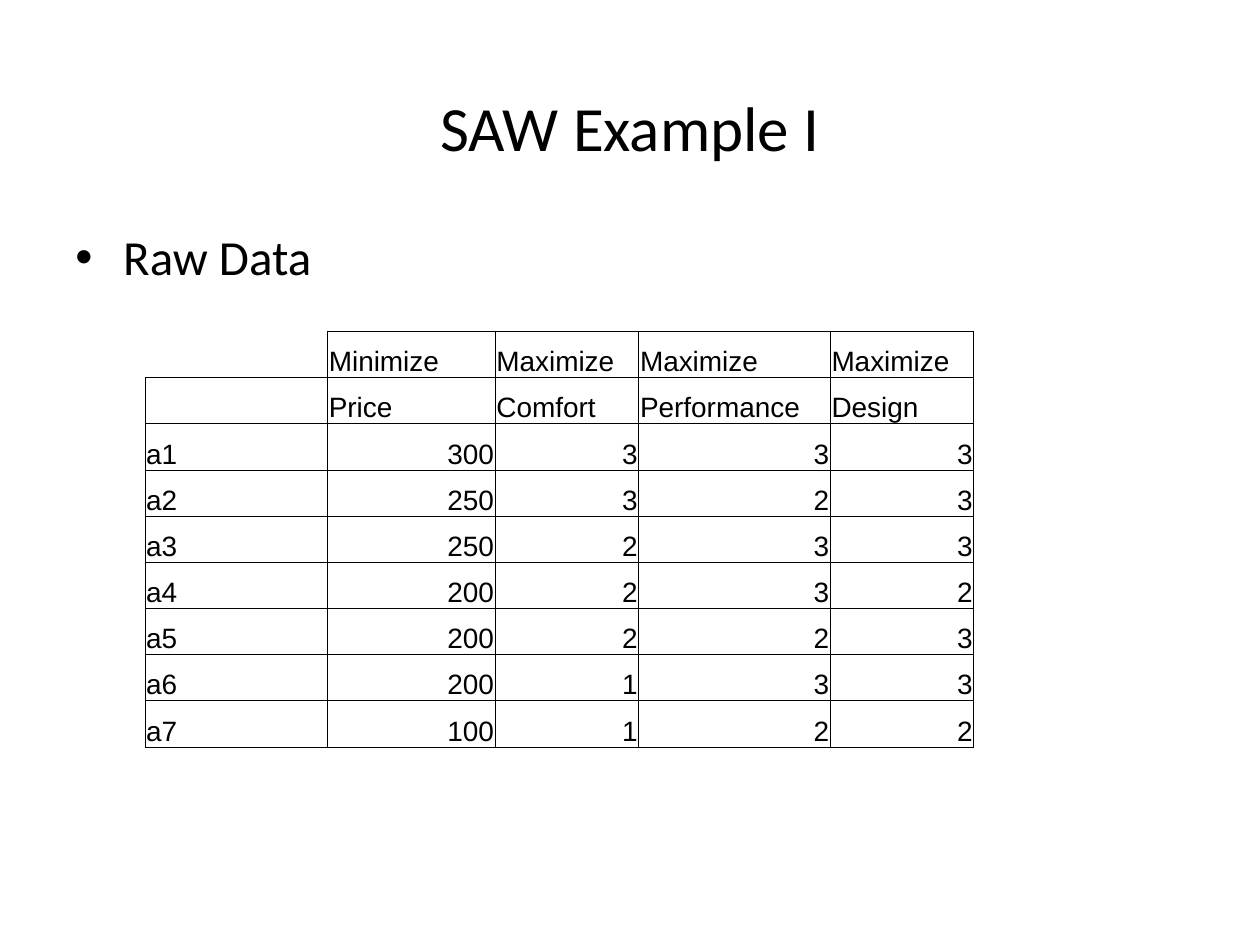
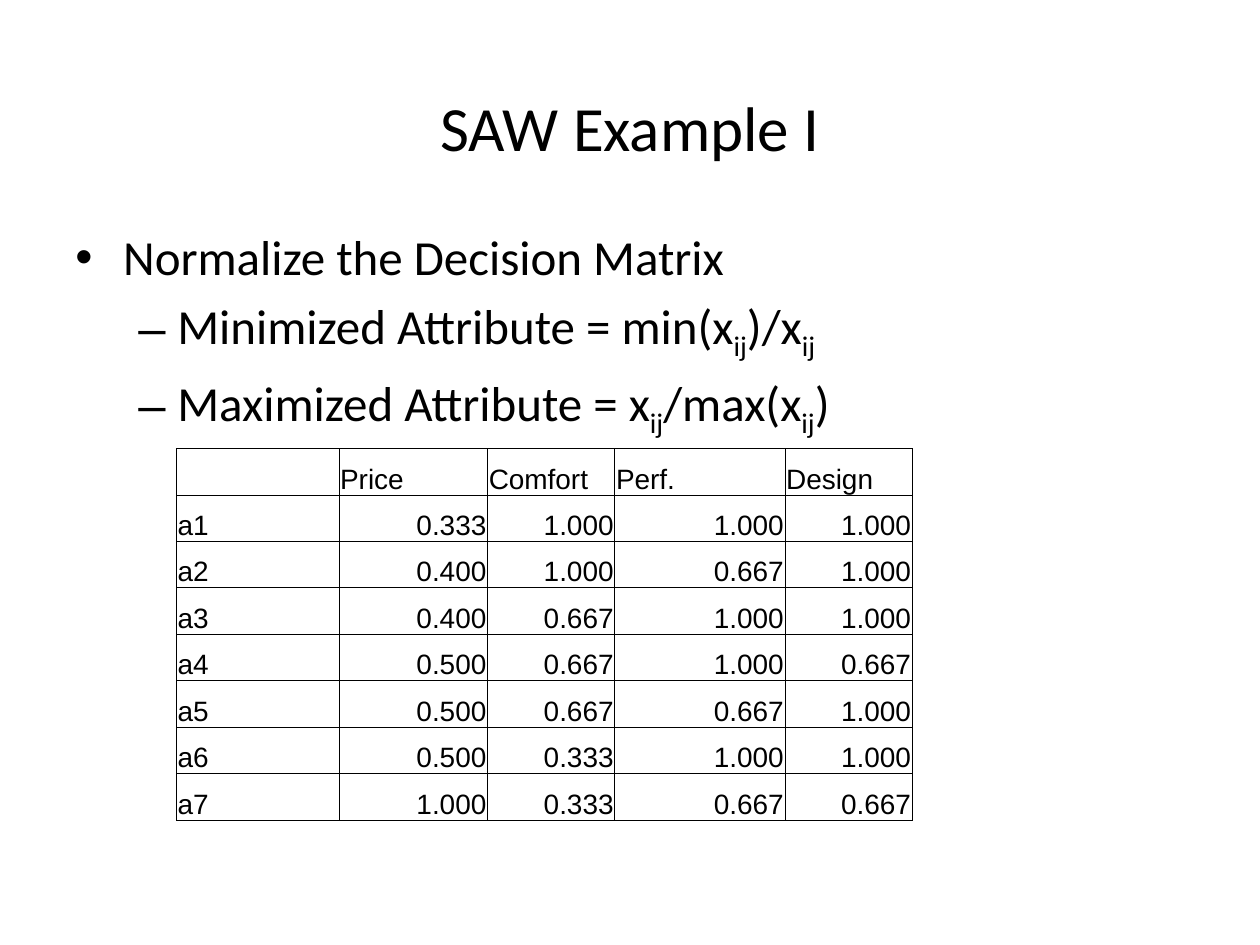
from dataclasses import dataclass

from lxml.etree import SubElement as Sub
from pptx import Presentation
from pptx.dml.color import RGBColor
from pptx.enum.text import MSO_ANCHOR as Anchor, PP_ALIGN as Align
from pptx.oxml.ns import qn
from pptx.util import Inches, Pt

# Shared look
BLACK, WHITE = "000000", "FFFFFF"
HEAD, CELL = "Calibri", "Arial"
EDGES = {"L": "lnL", "R": "lnR", "T": "lnT", "B": "lnB"}


@dataclass
class Level:
    mark: str
    left: float
    hang: float


@dataclass
class Grid:
    left: float
    top: float
    high: float
    cols: list[float]
    rows: list[list[str]]
    open: bool = False  # leave the corner cell without top and left lines


LEVELS = [Level("•", 0.38, -0.38), Level("–", 0.81, -0.31)]

# Raw data: price, comfort, performance, design
RAW = [
    (300, 3, 3, 3),
    (250, 3, 2, 3),
    (250, 2, 3, 3),
    (200, 2, 3, 2),
    (200, 2, 2, 3),
    (200, 1, 3, 3),
    (100, 1, 2, 2),
]


def color(code: str) -> RGBColor:
    return RGBColor.from_string(code)


def write(para, text: str, *, font: str = HEAD, size: float = 28,
          hue: str = BLACK, align=Align.LEFT) -> None:
    """Fill a paragraph; text between tildes is set as subscript."""
    para.alignment = align
    for i, part in enumerate(text.split("~")):
        if not part:
            continue
        run = para.add_run()
        run.text = part
        run.font.name, run.font.size = font, Pt(size)
        run.font.color.rgb = color(hue)
        if i % 2:
            run.font._element.set("baseline", "-25000")


def add_box(slide, top: float, high: float, anchor):
    box = slide.shapes.add_textbox(Inches(0.5), Inches(top), Inches(9), Inches(high))
    frame = box.text_frame
    frame.word_wrap = True
    frame.vertical_anchor = anchor
    return frame


def add_list(slide, items: list[tuple[int, str]]) -> None:
    frame = add_box(slide, 1.75, 4.95, Anchor.TOP)
    for i, (depth, text) in enumerate(items):
        para = frame.add_paragraph() if i else frame.paragraphs[0]
        write(para, text)
        para.level = depth
        para.space_before = Pt(5.6)
        level = LEVELS[depth]
        props = para._p.get_or_add_pPr()
        props.set("marL", str(Inches(level.left)))
        props.set("indent", str(Inches(level.hang)))
        Sub(props, qn("a:buFont"), typeface=CELL)
        Sub(props, qn("a:buChar"), char=level.mark)


def set_lines(cell, bare: str = "") -> None:
    """Draw thin lines around a cell, except on the bare edges."""
    props = cell._tc.get_or_add_tcPr()
    for i, (edge, tag) in enumerate(EDGES.items()):
        line = props.makeelement(qn(f"a:{tag}"), {"w": str(Pt(0.5))})
        props.insert(i, line)
        if edge in bare:
            Sub(line, qn("a:noFill"))
        else:
            fill = Sub(line, qn("a:solidFill"))
            Sub(fill, qn("a:srgbClr"), val=BLACK)


def add_grid(slide, grid: Grid) -> None:
    count = len(grid.rows)
    table = slide.shapes.add_table(
        count, len(grid.cols), Inches(grid.left), Inches(grid.top),
        Inches(sum(grid.cols)), Inches(grid.high)).table
    table.first_row = table.horz_banding = False
    for col, wide in zip(table.columns, grid.cols):
        col.width = Inches(wide)
    for r, texts in enumerate(grid.rows):
        table.rows[r].height = Inches(grid.high / count)
        for c, text in enumerate(texts):
            cell = table.cell(r, c)
            cell.margin_left = cell.margin_right = cell.margin_top = Inches(0.01)
            cell.margin_bottom = 0
            cell.vertical_anchor = Anchor.BOTTOM
            cell.fill.background()
            set_lines(cell, "LT" if grid.open and r == c == 0 else "")
            side = Align.RIGHT if text[:1].isdigit() else Align.LEFT
            write(cell.text_frame.paragraphs[0], text, font=CELL, size=16, align=side)


def name_rows(rows) -> list[list[str]]:
    return [[f"a{i}", *row] for i, row in enumerate(rows, 1)]


def scale(row: tuple) -> list[str]:
    """Price is minimized, the other attributes are maximized."""
    price, *rest = zip(*RAW)
    parts = [min(price) / row[0]]
    parts += [x / max(col) for x, col in zip(row[1:], rest)]
    return [f"{x:.3f}" for x in parts]


def add_slide(deck, items: list[tuple[int, str]], grid: Grid) -> None:
    slide = deck.slides.add_slide(deck.slide_layouts[6])
    slide.background.fill.solid()
    slide.background.fill.fore_color.rgb = color(WHITE)
    title = add_box(slide, 0.38, 1.25, Anchor.MIDDLE)
    write(title.paragraphs[0], "SAW Example I", size=36, align=Align.CENTER)
    add_list(slide, items)
    add_grid(slide, grid)


def main() -> None:
    deck = Presentation()
    deck.slide_width, deck.slide_height = Inches(10), Inches(7.5)

    # Raw data
    goals = ["", "Minimize"] + ["Maximize"] * 3
    names = ["", "Price", "Comfort", "Performance", "Design"]
    body = name_rows([str(x) for x in row] for row in RAW)
    add_slide(deck, [(0, "Raw Data")],
              Grid(1.15, 2.63, 3.3, [1.45, 1.33, 1.14, 1.52, 1.14],
                   [goals, names, *body], open=True))

    # Normalized matrix
    short = ["", "Price", "Comfort", "Perf.", "Design"]
    add_slide(deck, [(0, "Normalize the Decision Matrix"),
                     (1, "Minimized Attribute = min(x~ij~)/x~ij~"),
                     (1, "Maximized Attribute = x~ij~/max(x~ij~)")],
              Grid(1.4, 3.56, 2.95, [1.29, 1.18, 1.01, 1.35, 1.01],
                   [short, *name_rows(map(scale, RAW))]))

    deck.save("out.pptx")


if __name__ == "__main__":
    main()
